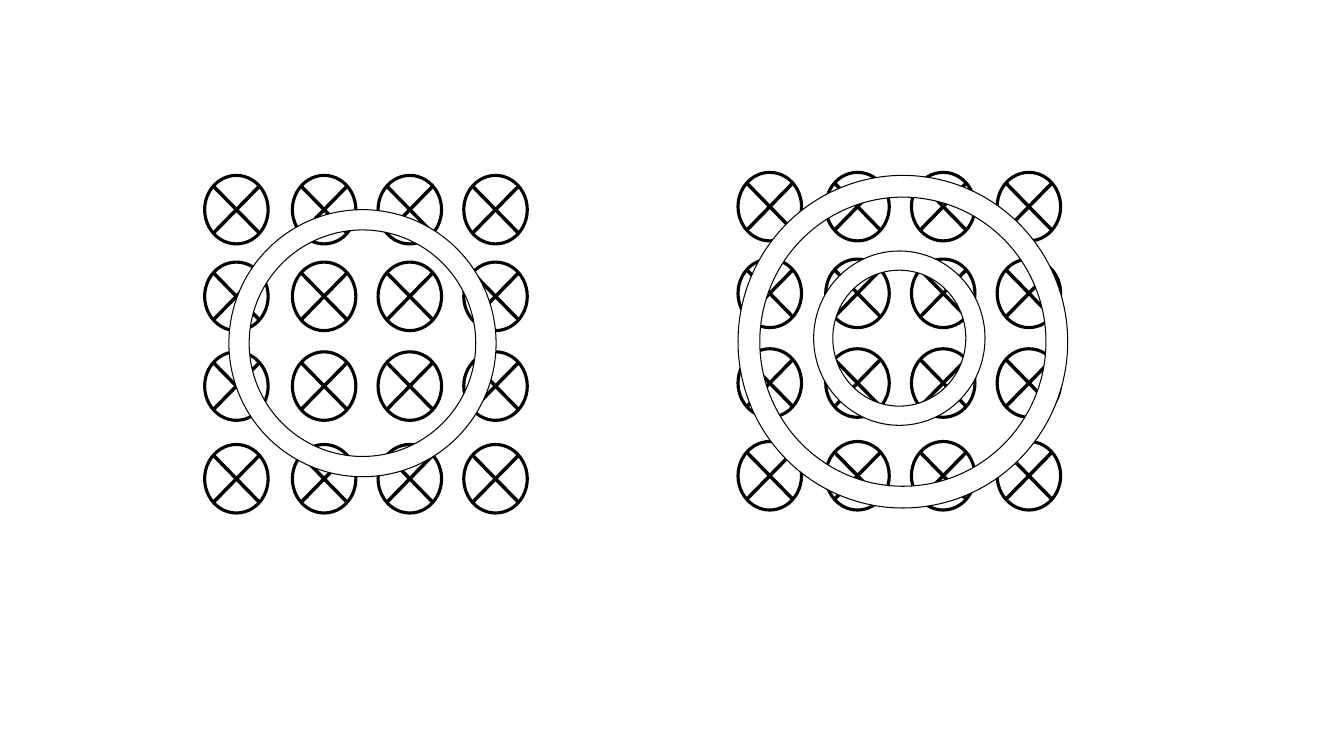
from itertools import product

from lxml import etree
from pptx import Presentation
from pptx import util as u
from pptx.dml.color import RGBColor
from pptx.enum import shapes
from pptx.oxml.ns import qn

COLOURS = {"ink": "000000", "ring": "FFFFFF"}

# Offsets of the field symbols from the top left of their grid, in inches
COLUMNS = (0, 0.87, 1.72, 2.57)
ROWS = (0, 0.86, 1.75, 2.67)
SYMBOL_WIDTH, SYMBOL_HEIGHT = 0.63, 0.68
CROSS_INSET_X, CROSS_INSET_Y = 0.09, 0.11


class FieldSlide:
    """Holds the line style and the slide, and draws its elements."""

    circle_weight = u.Pt(2.25)
    cross_weight = u.Pt(2.5)
    ring_weight = u.Pt(0.75)

    def __init__(self, slide):
        """Keep the slide to draw on."""
        self.slide = slide

    def ink(self, element, weight):
        """Give an element an ink outline of the given weight."""
        element.line.color.rgb = RGBColor.from_string(COLOURS["ink"])
        element.line.width = weight

    def stroke(self, group, start, end):
        """Draw one straight stroke of a cross."""
        stroke = group.shapes.add_connector(
            shapes.MSO_CONNECTOR.STRAIGHT, *map(u.Inches, (*start, *end)))
        self.ink(stroke, self.cross_weight)
        etree.SubElement(stroke._element.spPr, qn("a:effectLst"))

    def symbol(self, group, left, top):
        """Draw a crossed circle: a field pointing into the page."""
        x1, y1 = left + CROSS_INSET_X, top + CROSS_INSET_Y
        x2 = left + SYMBOL_WIDTH - CROSS_INSET_X
        y2 = top + SYMBOL_HEIGHT - CROSS_INSET_Y
        self.stroke(group, (x1, y1), (x2, y2))
        self.stroke(group, (x1, y2), (x2, y1))
        circle = group.shapes.add_shape(
            shapes.MSO_SHAPE.OVAL,
            *map(u.Inches, (left, top, SYMBOL_WIDTH, SYMBOL_HEIGHT)))
        circle.shadow.inherit = False
        circle.fill.background()
        self.ink(circle, self.circle_weight)

    def field(self, left, top):
        """Draw a grouped grid of field symbols."""
        group = self.slide.shapes.add_group_shape()
        for row, column in product(ROWS, COLUMNS):
            self.symbol(group, left + column, top + row)

    def ring(self, left, top, width, height, thickness):
        """Draw a ring; thickness is a share of its smaller side."""
        ring = self.slide.shapes.add_shape(
            shapes.MSO_SHAPE.DONUT,
            *map(u.Inches, (left, top, width, height)))
        ring.adjustments[0] = thickness
        ring.shadow.inherit = False
        ring.fill.solid()
        ring.fill.fore_color.rgb = RGBColor.from_string(COLOURS["ring"])
        self.ink(ring, self.ring_weight)


def main():
    """Build the slide with two fields and three rings, and save it."""
    deck = Presentation()
    deck.slide_width, deck.slide_height = u.Inches(13.33), u.Inches(7.5)
    page = FieldSlide(deck.slides.add_slide(deck.slide_layouts[6]))

    page.field(2.03, 1.74)
    page.field(7.32, 1.71)

    page.ring(2.27, 2.08, 2.65, 2.65, 0.076)
    page.ring(7.32, 1.74, 3.27, 3.3, 0.066)
    page.ring(8.07, 2.49, 1.7, 1.73, 0.112)

    deck.save("out.pptx")


main()
